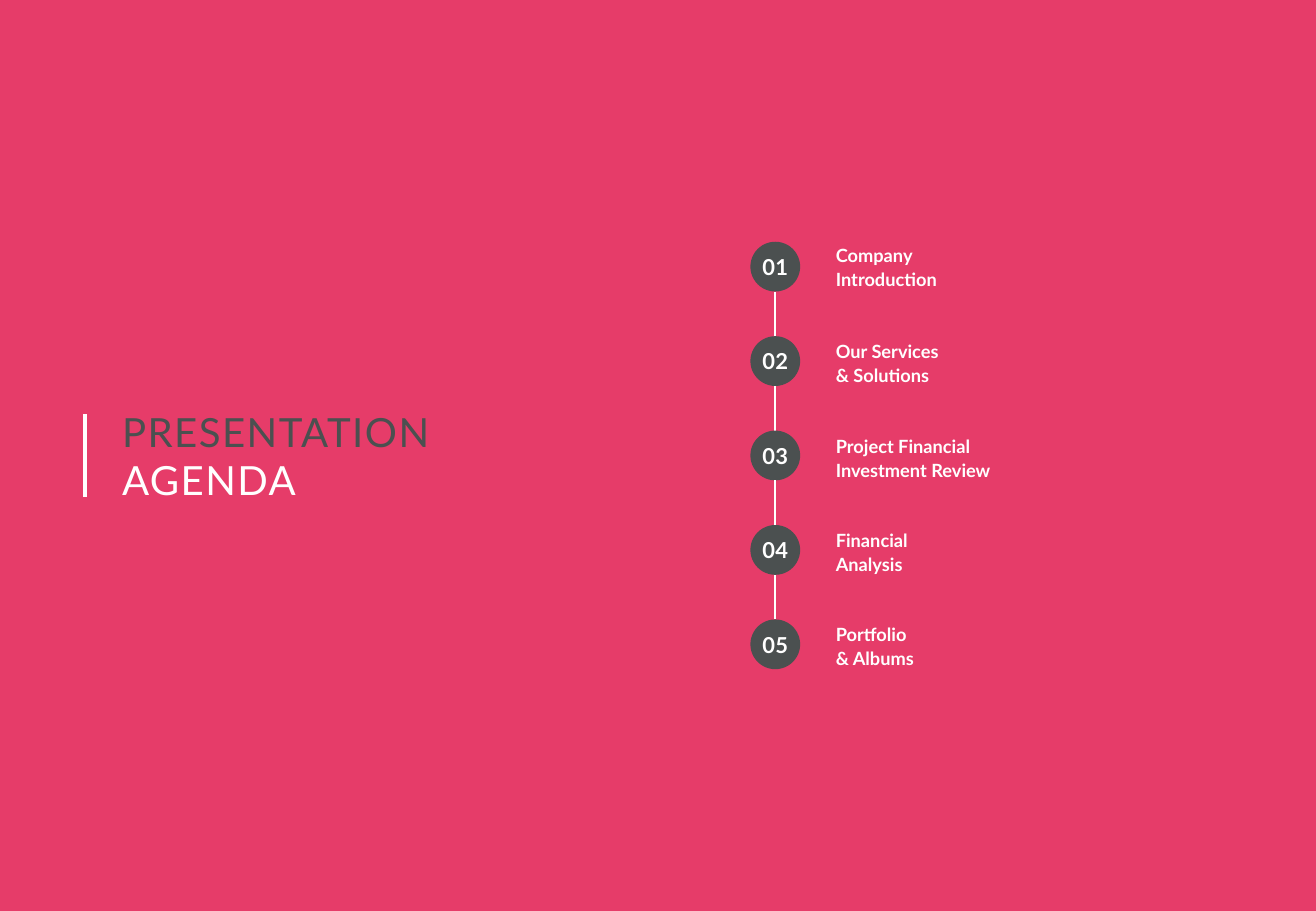
from dataclasses import dataclass

from lxml.etree import SubElement
from pptx import Presentation
from pptx.dml.color import RGBColor
from pptx.enum.shapes import MSO_CONNECTOR, MSO_SHAPE
from pptx.enum.text import MSO_AUTO_SIZE, PP_ALIGN
from pptx.oxml.ns import qn
from pptx.util import Pt


@dataclass(frozen=True)
class Theme:
    font: str = "Lato"
    pink: RGBColor = RGBColor(0xE6, 0x3C, 0x69)
    dark: RGBColor = RGBColor(0x4B, 0x50, 0x50)
    white: RGBColor = RGBColor(0xFF, 0xFF, 0xFF)
    title: float = 23.8
    number: float = 13
    label: float = 10.8


class Deck:
    def __init__(self, theme, width, height):
        self.theme = theme
        self.prs = Presentation()
        self.prs.slide_width, self.prs.slide_height = Pt(width), Pt(height)
        self.s = self.prs.slides.add_slide(self.prs.slide_layouts[6])

    def background(self, color):
        fill = self.s.background.fill
        fill.solid()
        fill.fore_color.rgb = color

    def circle(self, x, y, size, color):
        sp = self.s.shapes.add_shape(MSO_SHAPE.OVAL, Pt(x), Pt(y), Pt(size), Pt(size))
        sp.shadow.inherit = False
        sp.fill.solid()
        sp.fill.fore_color.rgb = color
        sp.line.fill.background()

    def vertical_line(self, x, top, bottom, weight):
        line = self.s.shapes.add_connector(
            MSO_CONNECTOR.STRAIGHT, Pt(x), Pt(top), Pt(x), Pt(bottom))
        line.line.color.rgb = self.theme.white
        line.line.width = Pt(weight)
        SubElement(line._element.spPr, qn("a:effectLst"))

    def text(self, x, y, w, h, lines, size, bold=False, align=PP_ALIGN.LEFT,
             line_spacing=None, tracking=0):
        tf = self.s.shapes.add_textbox(Pt(x), Pt(y), Pt(w), Pt(h)).text_frame
        tf.word_wrap = True
        tf.auto_size = MSO_AUTO_SIZE.SHAPE_TO_FIT_TEXT
        tf.margin_left = tf.margin_top = tf.margin_right = tf.margin_bottom = 0
        for i, (words, color) in enumerate(lines):
            p = tf.add_paragraph() if i else tf.paragraphs[0]
            p.alignment = align
            p.line_spacing = line_spacing
            r = p.add_run()
            r.text = words
            r.font.name = self.theme.font
            r.font.size = Pt(size)
            r.font.bold = bold
            r.font.color.rgb = color
            if tracking:
                r._r.get_or_add_rPr().set("spc", str(round(tracking * 100)))


AGENDA = [
    (143.3, "Company", "Introduction"),
    (200.7, "Our Services", "& Solutions"),
    (256.5, "Project Financial", "Investment Review"),
    (312.5, "Financial", "Analysis"),
    (368.2, "Portfolio", "& Albums"),
]
CENTER_X, FIRST_TOP, PITCH, DIAMETER = 459.5, 143.3, 55.97, 29.5
NUMBER_W, NUMBER_H = 27.4, 15.6


def main():
    theme = Theme()
    deck = Deck(theme, 780, 540)
    deck.background(theme.pink)
    deck.vertical_line(50.4, 245.5, 294.5, 2.25)
    deck.text(72.3, 241.3, 309, 57.6,
              [("PRESENTATION", theme.dark), ("AGENDA", theme.white)],
              theme.title, tracking=0.9)

    for i, (label_top, *words) in enumerate(AGENDA):
        top = FIRST_TOP + i * PITCH
        deck.text(495.4, label_top, 140.4, 28.8, [(word, theme.white) for word in words],
                  theme.label, bold=True, line_spacing=1.1)
        deck.circle(CENTER_X - DIAMETER / 2, top, DIAMETER, theme.dark)
        deck.text(CENTER_X - NUMBER_W / 2, top + (DIAMETER - NUMBER_H) / 2,
                  NUMBER_W, NUMBER_H, [(f"{i + 1:02}", theme.white)],
                  theme.number, bold=True, align=PP_ALIGN.CENTER, tracking=0.2)
        if i < len(AGENDA) - 1:
            deck.vertical_line(CENTER_X, top + DIAMETER, top + PITCH, 1)

    deck.prs.save("out.pptx")


if __name__ == "__main__":
    main()
